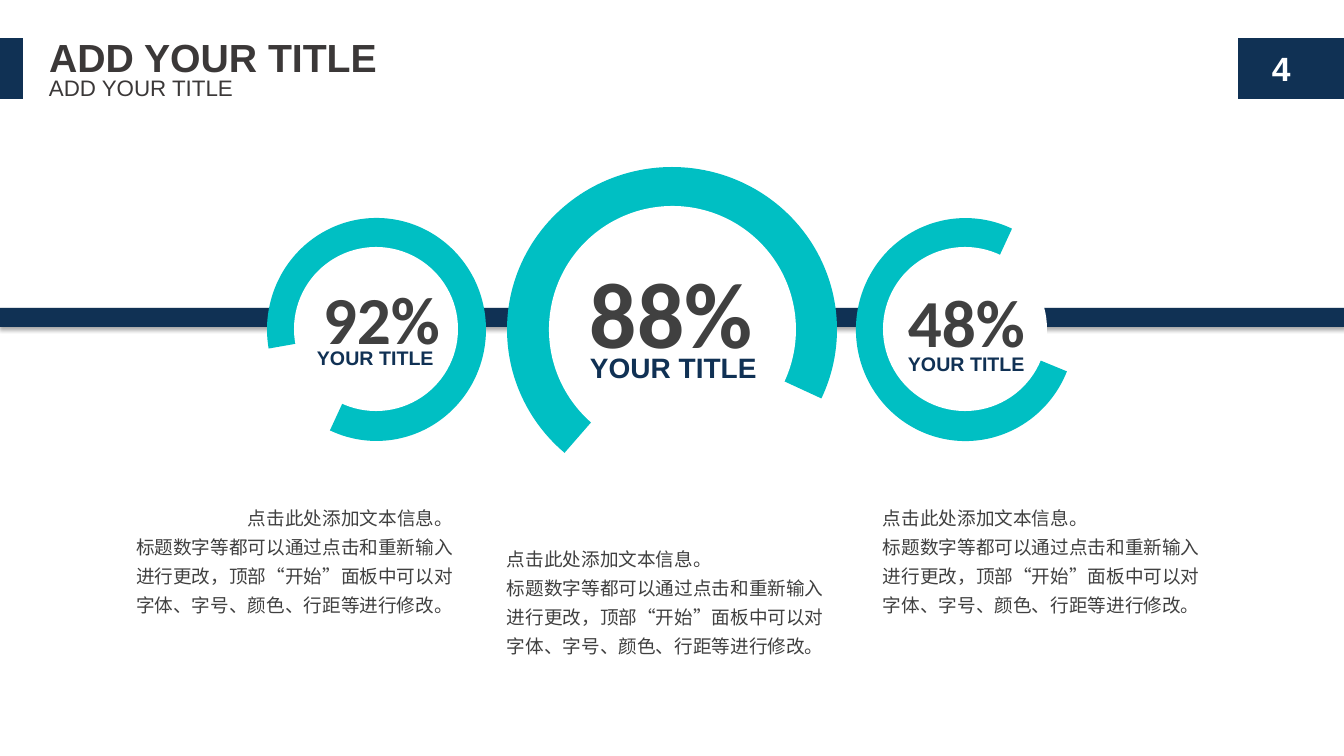
from lxml import etree
from pptx import Presentation
from pptx.dml.color import RGBColor
from pptx.enum.shapes import MSO_SHAPE as Shape
from pptx.enum.text import MSO_ANCHOR as Anchor, MSO_AUTO_SIZE as AutoSize, PP_ALIGN as Align
from pptx.oxml import parse_xml
from pptx.oxml.ns import nsdecls, qn
from pptx.util import Emu, Pt

SCALE = 12192000 / 1344
COLORS = {
    "navy": "103154",
    "teal": "00BFC3",
    "white": "FFFFFF",
    "heading": "3B3838",
    "body": "404040",
}
BODY_FONT = "Noto Sans CJK SC"
BODY_LINES = [
    "点击此处添加文本信息。",
    "标题数字等都可以通过点击和重新输入进行更改，顶部“开始”面板中可以对字体、字号、颜色、行距等进行修改。",
]
GAUGE_CENTER_Y = 329
SMALL = {"arc": (223, 219), "disc": 164, "value": (208, 92, 48), "caption": (138, 34, 14)}
LARGE = {"arc": (330, 325), "disc": 247, "value": (222, 123, 66.7), "caption": (188, 34, 20)}
# value, centre x, sizes, rotation, arc start in degrees, value place, caption place
GAUGES = [
    ("48%", 965, SMALL, 270, 112.39, (898, 275), (898, 347)),
    ("92%", 376, SMALL, 90, 79.96, (313, 272), (307, 341)),
    ("88%", 672, LARGE, 0, 131.06, (580, 250), (580, 355)),
]
ARC_END = 24.77
ARC_THICKNESS = 0.43
DESCRIPTIONS = [(497, 536, Align.LEFT), (112, 495, Align.RIGHT), (873, 495, Align.LEFT)]


def px(value):
    return Emu(round(value * SCALE))


def rgb(name):
    return RGBColor.from_string(COLORS[name])


def add_filled(shapes, kind, box, color):
    shape = shapes.add_shape(kind, *map(px, box))
    shape.shadow.inherit = False
    shape.fill.solid()
    shape.fill.fore_color.rgb = rgb(color)
    shape.line.fill.background()
    return shape


def add_drop_shadow(shape):
    effects = shape._element.spPr.find(qn("a:effectLst"))
    effects.append(parse_xml(
        f'<a:outerShdw {nsdecls("a")} blurRad="{Pt(3.1)}" dist="{Pt(1.8)}" dir="5400000" '
        'algn="t" rotWithShape="0"><a:srgbClr val="000000"><a:alpha val="35000"/>'
        '</a:srgbClr></a:outerShdw>'))


def write_text(shape, text, size, color, font="Arial", bold=False, wrap=False,
               align=Align.LEFT, spacing=None):
    frame = shape.text_frame
    frame.text = text
    frame.word_wrap = wrap
    frame.auto_size = AutoSize.SHAPE_TO_FIT_TEXT
    frame.vertical_anchor = Anchor.TOP
    for paragraph in frame.paragraphs:
        paragraph.alignment = align
        paragraph.line_spacing = spacing
        for run in paragraph.runs:
            run.font.size = Pt(size)
            run.font.bold = bold
            run.font.color.rgb = rgb(color)
            run.font.name = font
            if font == BODY_FONT:
                east_asian = etree.SubElement(run.font._element, qn("a:ea"))
                east_asian.set("typeface", font)


def add_text(slide, box, text, size, color, **style):
    write_text(slide.shapes.add_textbox(*map(px, box)), text, size, color, **style)


def add_heading(slide):
    title = slide.shapes.title
    title.left, title.top, title.width, title.height = map(px, (39, 28, 352, 57))
    write_text(title, "ADD YOUR TITLE", 28, "heading", bold=True, spacing=1.0)
    add_text(slide, (39, 69, 207, 37), "ADD YOUR TITLE", 16, "heading")


def add_page_number(slide):
    group = slide.shapes.add_group_shape()
    add_filled(group.shapes, Shape.RECTANGLE, (1238, 38, 106, 61), "navy")
    number = add_filled(group.shapes, Shape.RECTANGLE, (1262, 43, 39, 50), "navy")
    write_text(number, "4", 24, "white", bold=True)


def centered_box(center_x, width, height):
    return center_x - width // 2, GAUGE_CENTER_Y - height // 2, width, height


def add_gauge(slide, value, center_x, sizes, rotation, arc_start, value_place, caption_place):
    arc = add_filled(slide.shapes, Shape.BLOCK_ARC, centered_box(center_x, *sizes["arc"]), "teal")
    arc.rotation = rotation
    # Angles count in 60000ths of a degree, adjustments in 100000ths
    arc.adjustments[0] = arc_start * 0.6
    arc.adjustments[1] = ARC_END * 0.6
    arc.adjustments[2] = ARC_THICKNESS
    disc = sizes["disc"]
    add_filled(slide.shapes, Shape.OVAL, centered_box(center_x, disc, disc), "white")
    width, height, size = sizes["value"]
    add_text(slide, (*value_place, width, height), value, size, "body",
             font="Calibri", bold=True, wrap=True)
    width, height, size = sizes["caption"]
    add_text(slide, (*caption_place, width, height), "YOUR TITLE", size, "navy",
             bold=True, spacing=Pt(17))


def main():
    presentation = Presentation()
    presentation.slide_width, presentation.slide_height = px(1344), px(756)
    slide = presentation.slides.add_slide(presentation.slide_layouts[5])

    band = add_filled(slide.shapes, Shape.RECTANGLE, (0, 308, 1344, 19), "navy")
    add_drop_shadow(band)
    add_filled(slide.shapes, Shape.RECTANGLE, (0, 38, 23, 61), "navy")
    add_page_number(slide)
    add_heading(slide)
    for gauge in GAUGES:
        add_gauge(slide, *gauge)
    for left, top, align in DESCRIPTIONS:
        add_text(slide, (left, top, 351, 128), "\n".join(BODY_LINES), 13.3, "body",
                 font=BODY_FONT, wrap=True, align=align, spacing=1.3)

    presentation.save("out.pptx")


if __name__ == "__main__":
    main()
